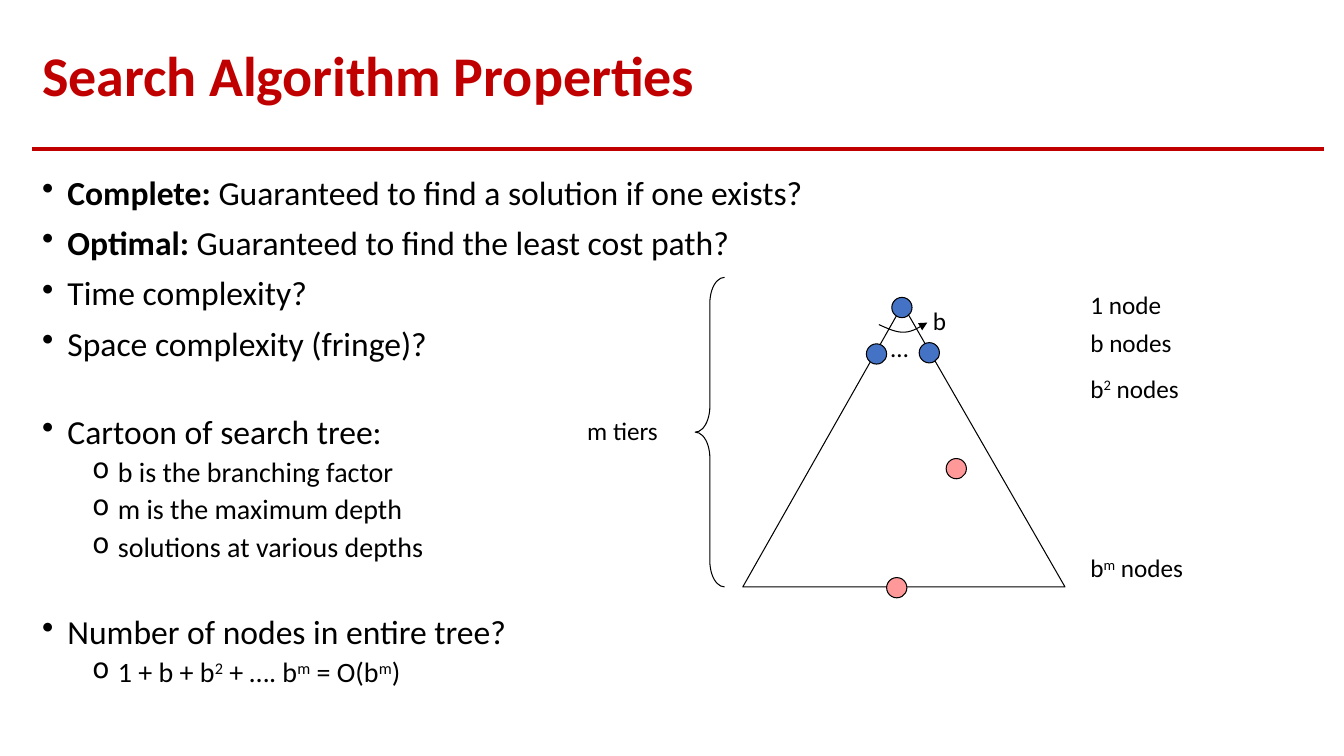
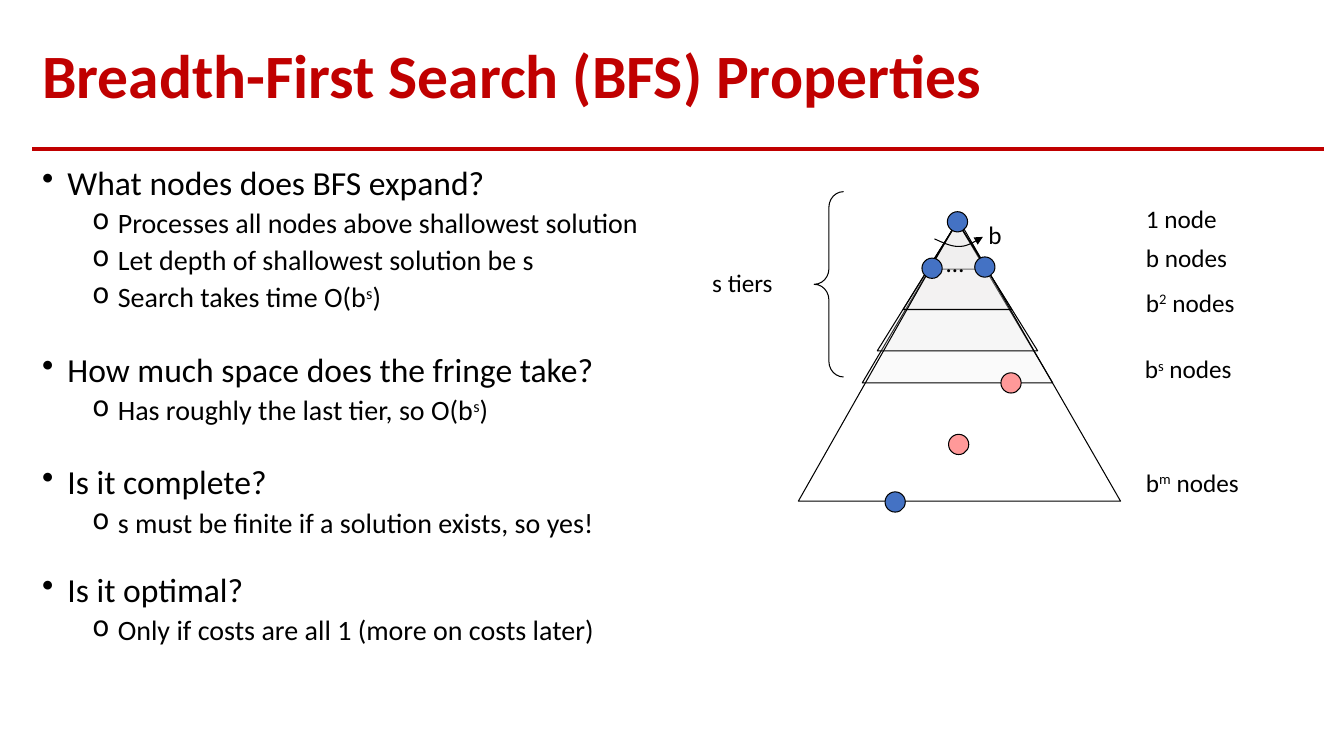
from lxml import etree
from pptx import Presentation
from pptx.dml.color import RGBColor
from pptx.enum.shapes import MSO_CONNECTOR, MSO_SHAPE
from pptx.enum.text import MSO_ANCHOR
from pptx.oxml.ns import qn
from pptx.util import Cm, Pt

STRAIGHT = MSO_CONNECTOR.STRAIGHT
ELLIPSE, LEFT_BRACE = MSO_SHAPE.OVAL, MSO_SHAPE.LEFT_BRACE
TOP, MIDDLE = MSO_ANCHOR.TOP, MSO_ANCHOR.MIDDLE

FONT = "Calibri"
RED, BLACK, BLUE, PINK, GREY = "C00000", "000000", "4472C4", "FF9999", "E7E6E6"
MARGIN, CONTENT_W = 0.81, 32.56
# Per outline level: bullet, left indent (cm), size, space before
LEVELS = [("•", 0.64, 24, 10), ("o", 1.91, 20, 5)]


def rgb(value):
    return RGBColor.from_string(value)


def bezier(p0, p1, p2, p3, steps=8):
    """Points along a cubic curve, without its start."""
    for i in range(1, steps + 1):
        t = i / steps
        u = 1 - t
        yield tuple(u**3 * a + 3 * u * u * t * b + 3 * u * t * t * c + t**3 * d
                    for a, b, c, d in zip(p0, p1, p2, p3))


def write(p, text, size=18, color=BLACK, bold=False):
    """Fill a paragraph; *...* is bold and ^...^ is superscript."""
    for i, chunk in enumerate(text.split("*")):
        for j, part in enumerate(chunk.split("^")):
            if not part:
                continue
            r = p.add_run()
            r.text = part
            r.font.name, r.font.size = FONT, Pt(size)
            r.font.bold = bold or i % 2 == 1
            r.font.color.rgb = rgb(color)
            if j % 2:
                r.font._element.set("baseline", "30000")


class Deck:
    def __init__(self):
        self.prs = Presentation()
        self.prs.slide_width, self.prs.slide_height = Cm(33.87), Cm(19.05)
        self.s = None

    # Shared frame: title and red rule
    def slide(self, title, size):
        self.s = self.prs.slides.add_slide(self.prs.slide_layouts[6])
        rule = self.s.shapes.add_connector(
            STRAIGHT, Cm(MARGIN), Cm(3.76), Cm(MARGIN + CONTENT_W), Cm(3.76))
        rule.line.color.rgb, rule.line.width = rgb(RED), Pt(2.5)
        etree.SubElement(rule._element.spPr, qn("a:effectLst"))
        tf = self.box(MARGIN, 0.71, CONTENT_W, 2.54, anchor=MIDDLE)
        tf.paragraphs[0].line_spacing = 0.9
        write(tf.paragraphs[0], title, size=size, color=RED, bold=True)

    # Text
    def box(self, x, y, w, h, anchor=TOP):
        tf = self.s.shapes.add_textbox(Cm(x), Cm(y), Cm(w), Cm(h)).text_frame
        tf.word_wrap, tf.vertical_anchor = True, anchor
        return tf

    def label(self, text, x, y, w):
        write(self.box(x, y, w, 1.02).paragraphs[0], text)

    def bullets(self, y, w, items):
        """Items are (level, text) or (level, text, space before)."""
        tf = self.box(MARGIN, y, w, 13.13)
        for i, (level, text, *gap) in enumerate(items):
            char, indent, size, before = LEVELS[level]
            p = tf.add_paragraph() if i else tf.paragraphs[0]
            p.level = level
            pPr = p._p.get_or_add_pPr()
            pPr.set("marL", str(Cm(indent)))
            pPr.set("indent", str(-Cm(0.64)))
            etree.SubElement(pPr, qn("a:buChar"), char=char)
            p.line_spacing = 0.9
            if i:
                p.space_before = Pt(gap[0] if gap else before)
            write(p, text, size=size)

    # Shapes
    def style(self, sp, fill=None, opacity=100):
        sp.shadow.inherit = False
        sp.line.color.rgb, sp.line.width = rgb(BLACK), Pt(0.75)
        if not fill:
            sp.fill.background()
            return
        sp.fill.solid()
        sp.fill.fore_color.rgb = rgb(fill)
        if opacity < 100:
            clr = sp._element.spPr.find(".//" + qn("a:srgbClr"))
            etree.SubElement(clr, qn("a:alpha"), val=str(opacity * 1000))

    def node(self, x, y, color=BLUE, d=0.51):
        sp = self.s.shapes.add_shape(ELLIPSE, Cm(x - d / 2), Cm(y - d / 2), Cm(d), Cm(d))
        self.style(sp, color)

    def brace(self, x, y, h, curve):
        sp = self.s.shapes.add_shape(LEFT_BRACE, Cm(x), Cm(y), Cm(0.74), Cm(h))
        sp.adjustments[0] = curve
        self.style(sp)

    def outline(self, points, close=True, **fmt):
        pts = [(Cm(x), Cm(y)) for x, y in points]
        fb = self.s.shapes.build_freeform(*pts[0])
        fb.add_line_segments(pts[1:], close=close)
        sp = fb.convert_to_shape()
        self.style(sp, **fmt)
        return sp

    # Search tree, placed by the centre of its root node
    def tree(self, x, y, tiers=()):
        for half, depth in tiers:
            self.outline([(x, y), (x - half, y + depth), (x + half, y + depth)],
                         fill=GREY, opacity=20)
        self.outline([(x - 4.01, y + 7.04), (x + 4.11, y + 7.04), (x + 0.02, y - 0.07)])
        for dx, dy in [(0, 0), (-0.64, 1.17), (0.69, 1.14)]:
            self.node(x + dx, y + dy)
        self.label("…", x - 0.53, y + 0.51, 0.76)

        # Branching arrow
        start, mid, end = (x - 0.58, y + 0.43), (x + 0.08, y + 0.62), (x + 0.64, y + 0.38)
        arc = [start,
               *bezier(start, (x - 0.36, y + 0.53), (x - 0.13, y + 0.64), mid),
               *bezier(mid, (x + 0.28, y + 0.61), (x + 0.46, y + 0.48), end)]
        sp = self.outline(arc, close=False)
        etree.SubElement(sp.line._get_or_add_ln(), qn("a:tailEnd"), type="triangle")
        self.label("b", x + 0.53, y - 0.18, 0.84)

        # Node counts per tier
        for text, dy in [("1 node", -0.58), ("b nodes", 0.38),
                         ("b^2^ nodes", 1.52), ("b^m^ nodes", 6.05)]:
            self.label(text, x + 4.5, y + dy, 3.1)


def main():
    deck = Deck()

    # Slide 1: search algorithm properties
    deck.slide("Search Algorithm Properties", 40)
    deck.bullets(4.32, 31.6, [
        (0, "*Complete: *Guaranteed to find a solution if one exists?"),
        (0, "*Optimal: *Guaranteed to find the least cost path?"),
        (0, "Time complexity?"),
        (0, "Space complexity (fringe)?"),
        (0, "Cartoon of search tree:", 37),
        (1, "b is the branching factor"),
        (1, "m is the maximum depth"),
        (1, "solutions at various depths"),
        (0, "Number of nodes in entire tree?", 37),
        (1, "1 + b + b^2^ + …. b^m^ = O(b^m^)"),
    ])
    x, y = 22.73, 7.75
    deck.tree(x, y)
    deck.node(x - 0.13, y + 7.06, PINK)
    deck.node(x + 1.37, y + 4.06, PINK)
    deck.brace(x - 5.21, y - 0.76, 7.8, 0.88)
    deck.label("m tiers", x - 8.18, y + 2.59, 3.5)

    # Slide 2: breadth-first search
    deck.slide("Breadth-First Search (BFS) Properties", 44)
    deck.bullets(4.06, 15.8, [
        (0, "What nodes does BFS expand?"),
        (1, "Processes all nodes above shallowest solution"),
        (1, "Let depth of shallowest solution be s"),
        (1, "Search takes time O(b^s^)"),
        (0, "How much space does the fringe take?", 28),
        (1, "Has roughly the last tier, so O(b^s^)"),
        (0, "Is it complete?", 28),
        (1, "s must be finite if a solution exists, so yes!"),
        (0, "Is it optimal?", 24),
        (1, "Only if costs are all 1 (more on costs later)"),
    ])
    x, y = 24.13, 5.59
    deck.tree(x, y, tiers=[(0.75, 1.19), (2.4, 4.06), (2.02, 3.25), (1.37, 2.21)])
    deck.node(x - 1.57, y + 7.06)
    deck.node(x + 1.35, y + 4.06, PINK)
    deck.node(x + 0.03, y + 5.61, PINK)
    deck.brace(x - 3.61, y - 0.76, 4.67, 0.53)
    deck.label("s tiers", x - 6.43, y + 1.02, 3.5)
    deck.label("b^s^ nodes", x + 4.47, y + 3.2, 3.1)

    deck.prs.save("out.pptx")


if __name__ == "__main__":
    main()
